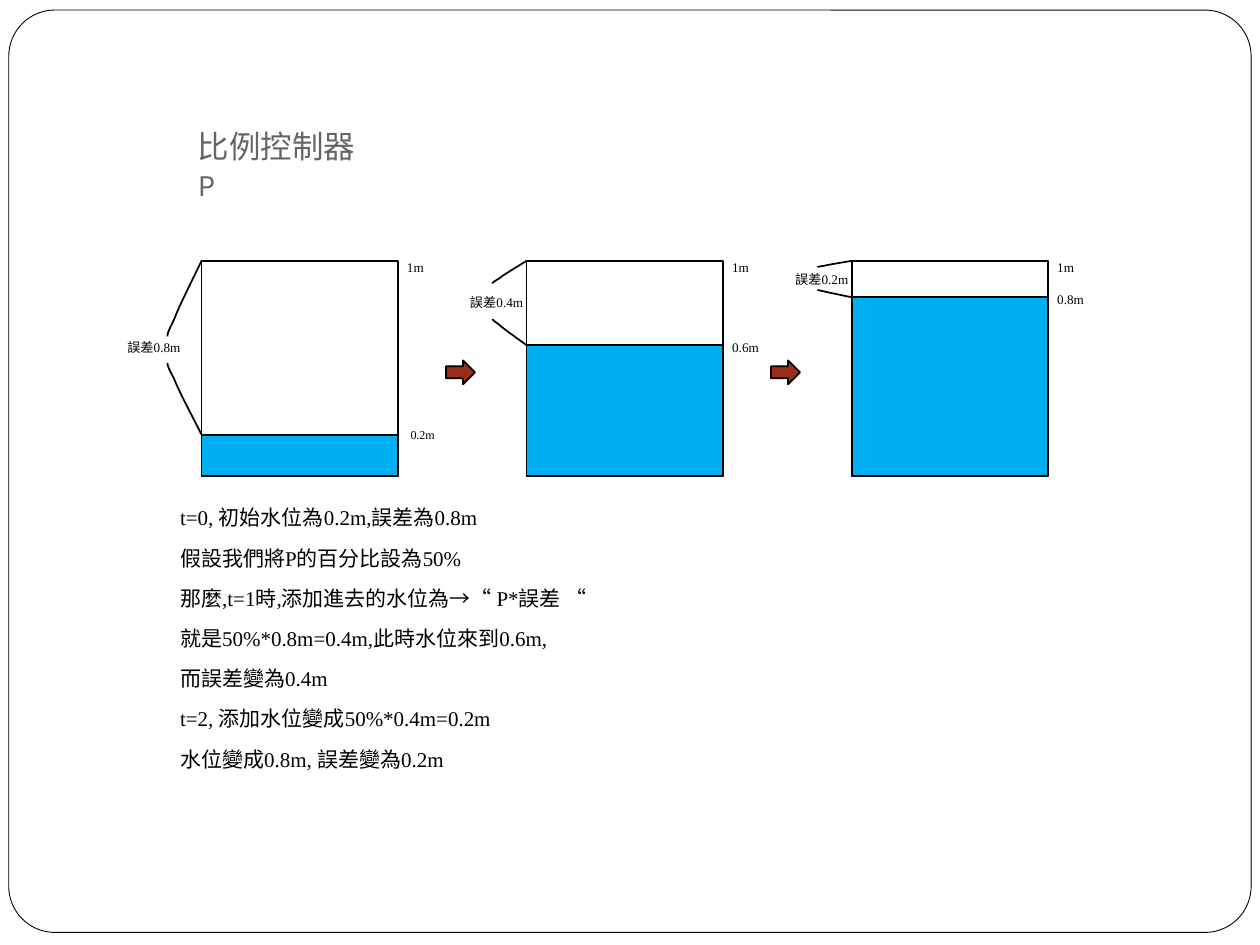
from pptx import Presentation
from pptx.dml.color import RGBColor
from pptx.enum.shapes import MSO_SHAPE
from pptx.enum.text import MSO_ANCHOR
from pptx.util import Inches, Pt

COLORS = {
    "white": "FFFFFF",
    "ink": "000000",
    "title": "696464",
    "water": "00B0F0",
    "arrow": "9B2D1F",
}

TITLE_FONT = {"name": "Karla", "size": Pt(18)}
BODY_FONT = {"name": "Times New Roman", "size": Pt(12)}
LABEL_FONT = {"name": "Times New Roman", "size": Pt(7.5)}
SMALL_FONT = {"name": "Times New Roman", "size": Pt(6.9)}

TIGHT_MARGINS = (0.07, 0.04, 0.07, 0.04)
TITLE_MARGINS = (0.1, 0.05, 0.2, 0.1)
WIDE_MARGINS = (0.1, 0.05, 0.1, 0.05)

TANK_LEFT, TANK_STEP, TANK_WIDTH = 1.6, 2.58, 1.56
TANK_TOP, TANK_BOTTOM = 2.07, 3.78
LABEL_WIDTH, LABEL_HEIGHT = 1.02, 0.19
BRACKET_WIDTH = 0.27
CURVE_STEPS = 8

BRACKET_CURVES = [
    [(0, 0), (0.33, 0.31), (0.67, 0.61), (0.81, 0.78)],
    [(0.81, 0.78), (1, 0.95), (1, 0.97), (1, 1)],
]

TANKS = [
    {"level": "0.2m", "surface": 3.45, "level_top": 3.36, "level_font": SMALL_FONT,
     "level_margins": WIDE_MARGINS, "error": "誤差0.8m", "error_at": (0.94, 2.67),
     "tips": (2.67, 2.88)},
    {"level": "0.6m", "surface": 2.74, "level_top": 2.67, "level_font": LABEL_FONT,
     "level_margins": TIGHT_MARGINS, "error": "誤差0.4m", "error_at": (3.66, 2.31),
     "tips": (2.25, 2.53)},
    {"level": "0.8m", "surface": 2.36, "level_top": 2.29, "level_font": LABEL_FONT,
     "level_margins": TIGHT_MARGINS, "error": "誤差0.2m", "error_at": (6.24, 2.13),
     "tips": (2.12, 2.3)},
]

EXPLANATION = [
    "t=0, 初始水位為0.2m,誤差為0.8m",
    "假設我們將P的百分比設為50%",
    "那麼,t=1時,添加進去的水位為→“ P*誤差 “",
    "就是50%*0.8m=0.4m,此時水位來到0.6m,",
    "而誤差變為0.4m",
    "t=2, 添加水位變成50%*0.4m=0.2m",
    "水位變成0.8m, 誤差變為0.2m",
]


def color(name):
    return RGBColor.from_string(COLORS[name])


def add_block(page, kind, left, top, width, height, fill, line_width=1):
    block = page.shapes.add_shape(
        kind, Inches(left), Inches(top), Inches(width), Inches(height))
    block.shadow.inherit = False
    block.fill.solid()
    block.fill.fore_color.rgb = color(fill)
    block.line.color.rgb = color("ink")
    block.line.width = Pt(line_width)
    return block


def add_text(page, left, top, width, height, lines, font,
             margins=TIGHT_MARGINS, ink="ink", spacing=0.9, anchor=MSO_ANCHOR.TOP):
    box = page.shapes.add_textbox(
        Inches(left), Inches(top), Inches(width), Inches(height))
    frame = box.text_frame
    frame.word_wrap = True
    frame.vertical_anchor = anchor
    for side, margin in zip(("left", "top", "right", "bottom"), margins):
        setattr(frame, f"margin_{side}", Inches(margin))
    for index, line in enumerate(lines):
        para = frame.add_paragraph() if index else frame.paragraphs[0]
        para.line_spacing = spacing
        if index:
            para.space_before = Pt(10)
        span = para.add_run()
        span.text = line
        span.font.color.rgb = color(ink)
        for key, value in font.items():
            setattr(span.font, key, value)


def curve_point(controls, t):
    weights = ((1 - t) ** 3, 3 * t * (1 - t) ** 2, 3 * t ** 2 * (1 - t), t ** 3)
    return tuple(sum(w * point[axis] for w, point in zip(weights, controls))
                 for axis in (0, 1))


def add_bracket_arm(page, left, corner, tip):
    points = [curve_point(controls, step / CURVE_STEPS)
              for controls in BRACKET_CURVES for step in range(1, CURVE_STEPS + 1)]
    builder = page.shapes.build_freeform(Inches(left), Inches(corner))
    builder.add_line_segments(
        [(Inches(left - BRACKET_WIDTH * x), Inches(corner + (tip - corner) * y))
         for x, y in points], close=False)
    arm = builder.convert_to_shape()
    arm.shadow.inherit = False
    arm.fill.background()
    arm.line.color.rgb = color("ink")
    arm.line.width = Pt(1)


def add_tank(page, left, tank):
    right, surface = left + TANK_WIDTH, tank["surface"]
    for top, fill in ((TANK_TOP, "white"), (surface, "water")):
        add_block(page, MSO_SHAPE.RECTANGLE, left, top, TANK_WIDTH,
                  TANK_BOTTOM - top, fill)
    add_text(page, right, 2.03, LABEL_WIDTH, LABEL_HEIGHT, ["1m"], LABEL_FONT)
    add_text(page, right, tank["level_top"], LABEL_WIDTH, LABEL_HEIGHT,
             [tank["level"]], tank["level_font"], tank["level_margins"])
    add_text(page, *tank["error_at"], LABEL_WIDTH, LABEL_HEIGHT,
             [tank["error"]], LABEL_FONT)
    for corner, tip in zip((TANK_TOP, surface), tank["tips"]):
        add_bracket_arm(page, left, corner, tip)


def main():
    deck = Presentation()
    deck.slide_width, deck.slide_height = Inches(10), Inches(7.5)
    page = deck.slides.add_slide(deck.slide_layouts[6])

    border = add_block(page, MSO_SHAPE.ROUNDED_RECTANGLE, 0.07, 0.08, 9.86, 7.32,
                       "white", 0.5)
    border.adjustments[0] = 0.05
    add_text(page, 1.47, 1.14, 1.69, 0.57, ["比例控制器 P"], TITLE_FONT,
             TITLE_MARGINS, "title", 1.0, MSO_ANCHOR.BOTTOM)

    for index, tank in enumerate(TANKS):
        left = TANK_LEFT + TANK_STEP * index
        add_tank(page, left, tank)
        if index < len(TANKS) - 1:
            add_block(page, MSO_SHAPE.RIGHT_ARROW, left + 1.94, 2.86, 0.23, 0.19,
                      "arrow")

    add_text(page, 1.36, 3.99, 6.97, 2.75, EXPLANATION, BODY_FONT)
    deck.save("out.pptx")


if __name__ == "__main__":
    main()
